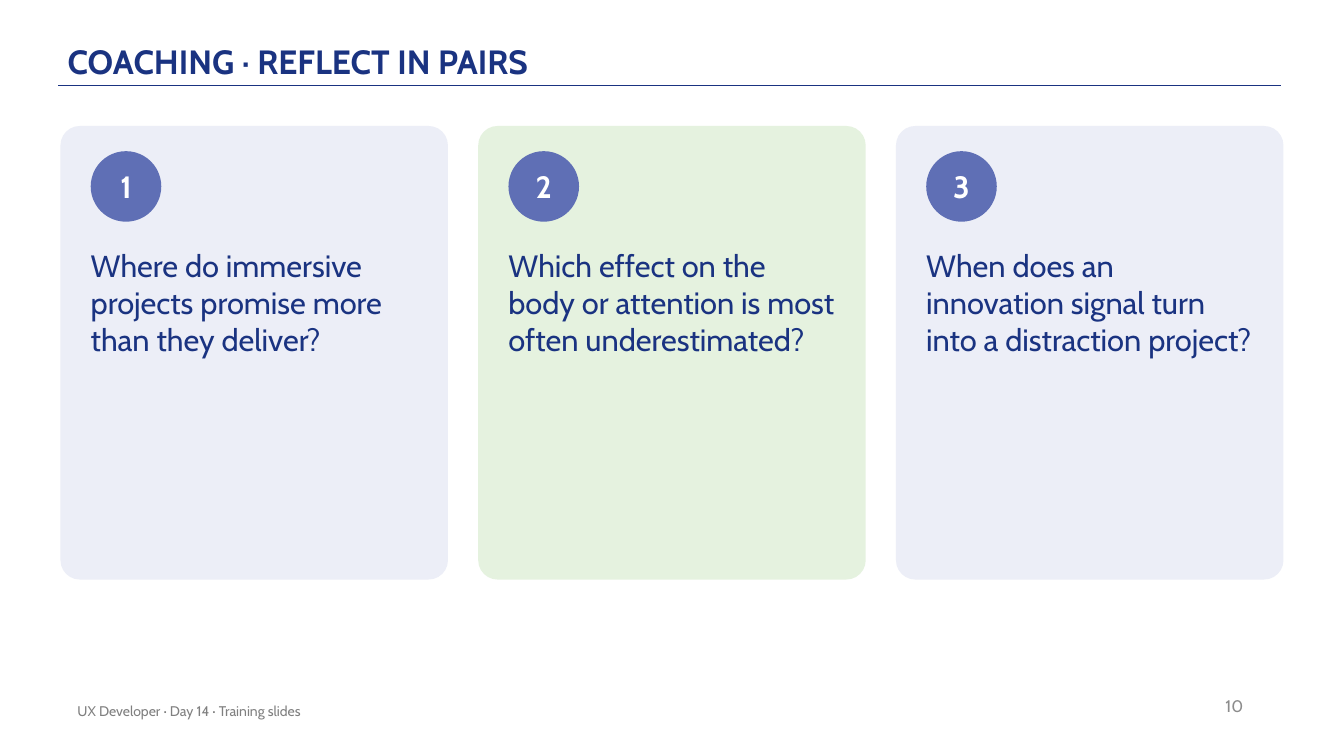
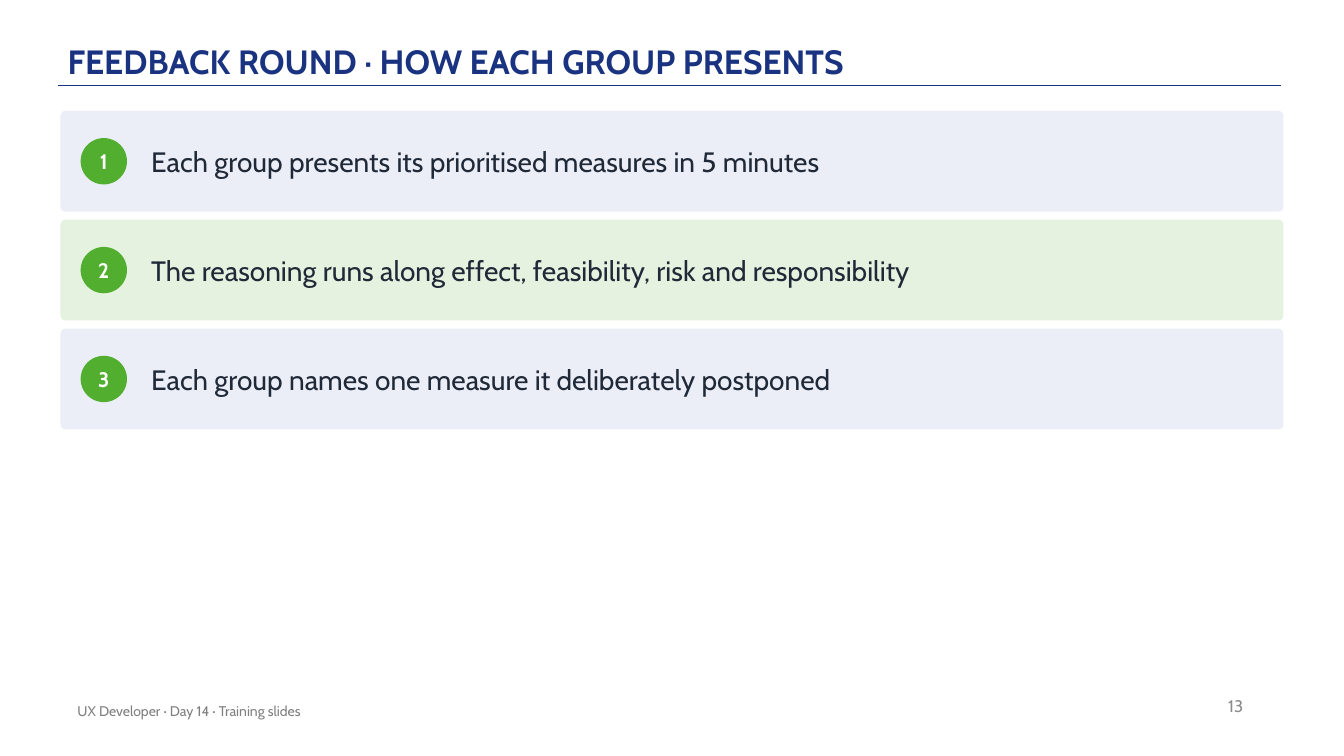
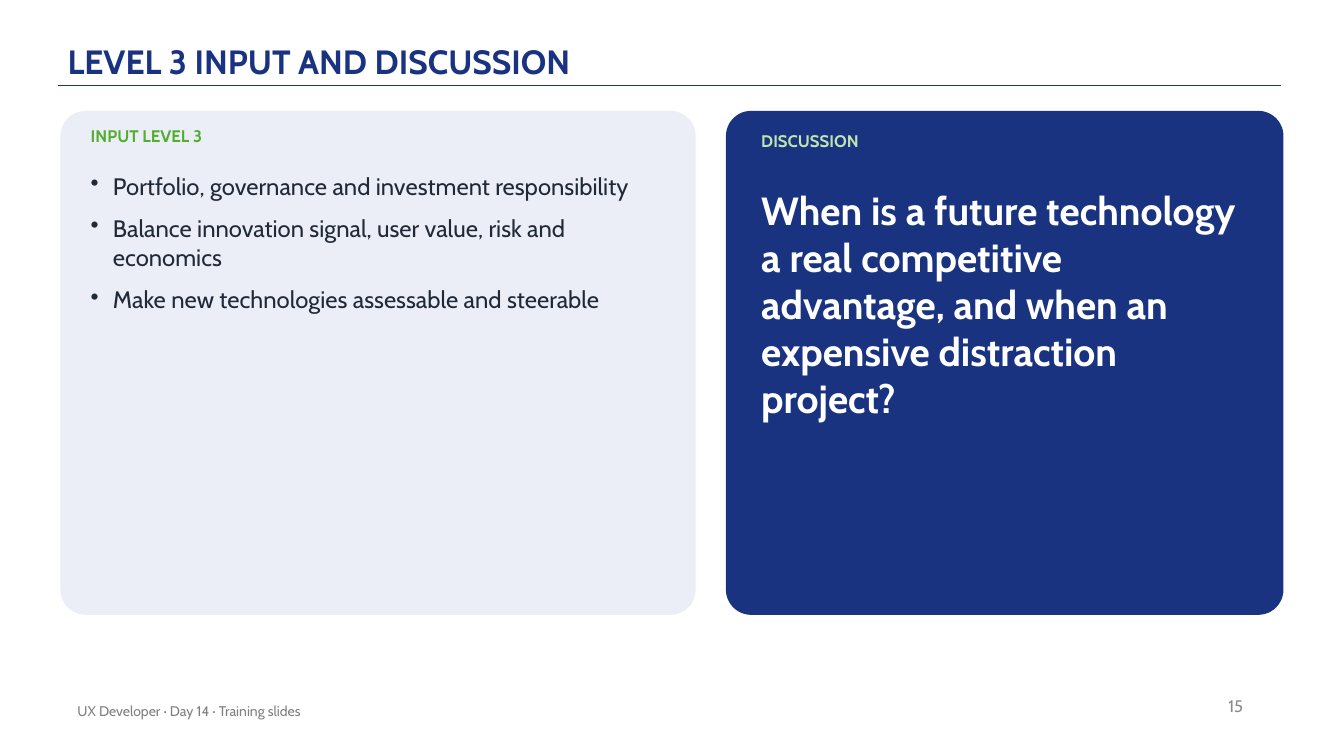
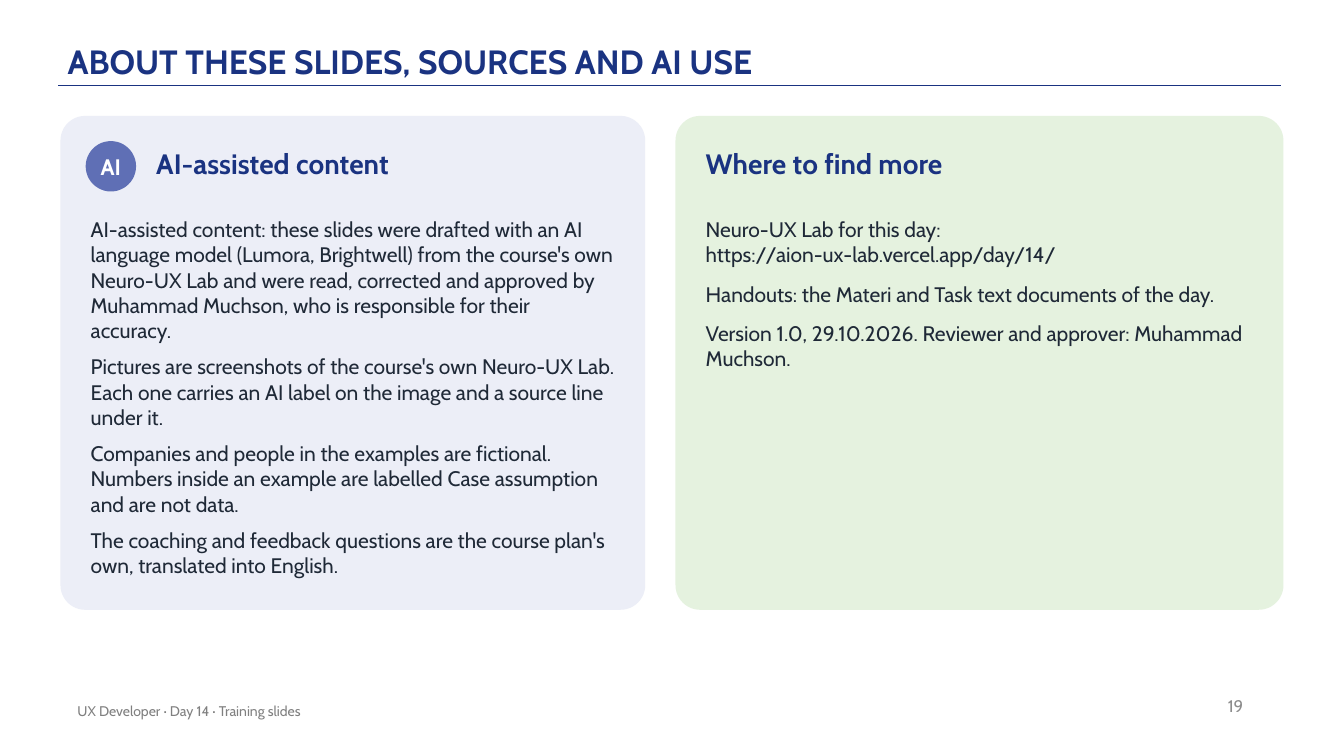
from lxml import etree
from pptx import Presentation
from pptx.dml.color import RGBColor
from pptx.enum.shapes import MSO_CONNECTOR, MSO_SHAPE
from pptx.enum.text import MSO_ANCHOR, PP_ALIGN
from pptx.oxml.ns import qn
from pptx.util import Emu, Pt

LEFT, CENTER, RIGHT = PP_ALIGN.LEFT, PP_ALIGN.CENTER, PP_ALIGN.RIGHT
TOP, MIDDLE, BOTTOM = MSO_ANCHOR.TOP, MSO_ANCHOR.MIDDLE, MSO_ANCHOR.BOTTOM
ROUNDED, OVAL = MSO_SHAPE.ROUNDED_RECTANGLE, MSO_SHAPE.OVAL
STRAIGHT = MSO_CONNECTOR.STRAIGHT

EMU_PER_PX = 9144  # 100 px to the inch
FONT = "Cabin"
COLORS = {
    "navy": "1A3381",
    "indigo": "5F6FB5",
    "green": "51AE2F",
    "light_green": "BFE5AE",
    "pale_blue": "ECEEF7",
    "pale_green": "E5F2DF",
    "ink": "1F2937",
    "white": "FFFFFF",
    "footer": "808080",
    "number": "8C8C8C",
}
CARD_FILLS = ("pale_blue", "pale_green", "pale_blue")
CONTENT_LEFT, CONTENT_WIDTH = 60, 1213
CONTENT_RIGHT = CONTENT_LEFT + CONTENT_WIDTH
GAP = 30
FOOTER = "UX Developer · Day 14 · Training slides"


def px(length):
    return Emu(round(length * EMU_PER_PX))


def place(*lengths):
    return [px(length) for length in lengths]


def color(name):
    return RGBColor.from_string(COLORS[name])


def add_bullet(para, indent):
    properties = para._p.get_or_add_pPr()
    properties.set("marL", str(px(indent)))
    properties.set("indent", str(-px(indent)))
    etree.SubElement(properties, qn("a:buChar")).set("char", "•")


def write(frame, text, *, size, ink="ink", bold=False, align=LEFT, anchor=TOP,
          insets=(0, 0), after=0, line_spacing=None, bullet_indent=0):
    """Fill a text frame with one paragraph, or with one for each list item."""
    frame.word_wrap = True
    frame.vertical_anchor = anchor
    frame.margin_left = frame.margin_right = px(insets[0])
    frame.margin_top = frame.margin_bottom = px(insets[1])
    for index, words in enumerate([text] if isinstance(text, str) else text):
        para = frame.add_paragraph() if index else frame.paragraphs[0]
        para.alignment = align
        para.space_after = Pt(after)
        if line_spacing:
            para.line_spacing = line_spacing
        if bullet_indent:
            add_bullet(para, bullet_indent)
        span = para.add_run()
        span.text = words
        span.font.name = FONT
        span.font.size = Pt(size)
        span.font.bold = bold
        span.font.color.rgb = color(ink)


def add_text(page, left, top, width, height, text, **style):
    box = page.shapes.add_textbox(*place(left, top, width, height))
    write(box.text_frame, text, **style)


def add_filled(page, kind, left, top, width, height, fill):
    shape = page.shapes.add_shape(kind, *place(left, top, width, height))
    shape.shadow.inherit = False
    shape.fill.solid()
    shape.fill.fore_color.rgb = color(fill)
    shape.line.fill.background()
    return shape


def add_card(page, left, top, width, height, fill):
    card = add_filled(page, ROUNDED, left, top, width, height, fill)
    card.adjustments[0] = 0.05


def add_badge(page, left, top, diameter, label, fill, size):
    badge = add_filled(page, OVAL, left, top, diameter, diameter, fill)
    write(badge.text_frame, label, size=size, ink="white", bold=True,
          align=CENTER, anchor=MIDDLE)


def add_page(deck, title, number):
    """Add a slide with the shared title, rule, page number and footer."""
    page = deck.slides.add_slide(deck.slide_layouts[6])
    rule = page.shapes.add_connector(STRAIGHT, *place(58, 85, 1271, 85))
    rule.line.color.rgb = color("navy")
    rule.line.width = Pt(1)
    etree.SubElement(rule._element.spPr, qn("a:effectLst"))
    add_text(page, 67, 12, 1100, 72, title, size=24, ink="navy", bold=True,
             anchor=BOTTOM, insets=(0, 3), line_spacing=0.9)
    add_text(page, 943, 680, 300, 40, str(number), size=12, ink="number",
             align=RIGHT, anchor=MIDDLE, insets=(10, 5))
    add_text(page, 67, 685, 670, 40, FOOTER, size=10, ink="footer",
             anchor=MIDDLE, insets=(10, 5))
    return page


def add_question_cards(page, questions):
    count = len(questions)
    width = (CONTENT_WIDTH - GAP * (count - 1)) / count
    for index, (question, fill) in enumerate(zip(questions, CARD_FILLS)):
        left = CONTENT_LEFT + index * (width + GAP)
        add_card(page, left, 125, width, 450, fill)
        add_badge(page, left + 30, 150, 70, str(index + 1), "indigo", 22)
        add_text(page, left + 30, 245, width - 60, 310, question,
                 size=22, ink="navy")


def add_step_rows(page, steps):
    height, diameter = 100, 46
    for index, (step, fill) in enumerate(zip(steps, CARD_FILLS)):
        top = 110 + index * (height + 8)
        add_card(page, CONTENT_LEFT, top, CONTENT_WIDTH, height, fill)
        add_badge(page, 80, top + (height - diameter) / 2, diameter,
                  str(index + 1), "green", 15)
        add_text(page, 150, top, 1103, height, step, size=20, anchor=MIDDLE)


def add_input_panel(page, label, points):
    add_card(page, CONTENT_LEFT, 110, 630, 500, "pale_blue")
    add_text(page, 90, 125, 570, 35, label, size=12, ink="green", bold=True)
    add_text(page, 90, 170, 570, 420, points, size=17, after=10,
             bullet_indent=22)


def add_discussion_panel(page, label, question):
    left = CONTENT_LEFT + 630 + GAP
    add_card(page, left, 110, CONTENT_RIGHT - left, 500, "navy")
    add_text(page, left + 35, 130, 450, 35, label, size=12,
             ink="light_green", bold=True)
    add_text(page, left + 35, 185, 483, 400, question, size=28, ink="white",
             bold=True)


def add_info_card(page, left, width, fill, heading, notes, *, notes_width,
                  after, badge=None):
    add_card(page, left, 115, width, 490, fill)
    heading_left = left + 30
    if badge:
        add_badge(page, left + 25, 140, 50, badge, "indigo", 16)
        heading_left = left + 95
    add_text(page, heading_left, 145, 460, 50, heading, size=20, ink="navy",
             bold=True)
    add_text(page, left + 30, 215, notes_width, 380, notes, size=15,
             after=after)


def main():
    deck = Presentation()
    deck.slide_width, deck.slide_height = place(1333, 750)

    add_question_cards(add_page(deck, "COACHING · REFLECT IN PAIRS", 10), [
        "Where do immersive projects promise more than they deliver?",
        "Which effect on the body or attention is most often underestimated?",
        "When does an innovation signal turn into a distraction project?",
    ])

    add_step_rows(
        add_page(deck, "FEEDBACK ROUND · HOW EACH GROUP PRESENTS", 13), [
            "Each group presents its prioritised measures in 5 minutes",
            "The reasoning runs along effect, feasibility, risk and "
            "responsibility",
            "Each group names one measure it deliberately postponed",
        ])

    page = add_page(deck, "LEVEL 3 INPUT AND DISCUSSION", 15)
    add_input_panel(page, "INPUT LEVEL 3", [
        "Portfolio, governance and investment responsibility",
        "Balance innovation signal, user value, risk and economics",
        "Make new technologies assessable and steerable",
    ])
    add_discussion_panel(
        page, "DISCUSSION",
        "When is a future technology a real competitive advantage, and when "
        "an expensive distraction project?")

    page = add_page(deck, "ABOUT THESE SLIDES, SOURCES AND AI USE", 19)
    add_info_card(page, CONTENT_LEFT, 580, "pale_blue", "AI-assisted content", [
        "AI-assisted content: these slides were drafted with an AI language "
        "model (Lumora, Brightwell) from the course's own Neuro-UX Lab and "
        "were read, corrected and approved by Muhammad Muchson, who is "
        "responsible for their accuracy.",
        "Pictures are screenshots of the course's own Neuro-UX Lab. Each one "
        "carries an AI label on the image and a source line under it.",
        "Companies and people in the examples are fictional. Numbers inside "
        "an example are labelled Case assumption and are not data.",
        "The coaching and feedback questions are the course plan's own, "
        "translated into English.",
    ], notes_width=520, after=8, badge="AI")
    left = CONTENT_LEFT + 580 + GAP
    add_info_card(page, left, CONTENT_RIGHT - left, "pale_green",
                  "Where to find more", [
        "Neuro-UX Lab for this day: https://aion-ux-lab.vercel.app/day/14/",
        "Handouts: the Materi and Task text documents of the day.",
        "Version 1.0, 29.10.2026. Reviewer and approver: Muhammad Muchson.",
    ], notes_width=550, after=10)

    deck.save("out.pptx")


if __name__ == "__main__":
    main()
